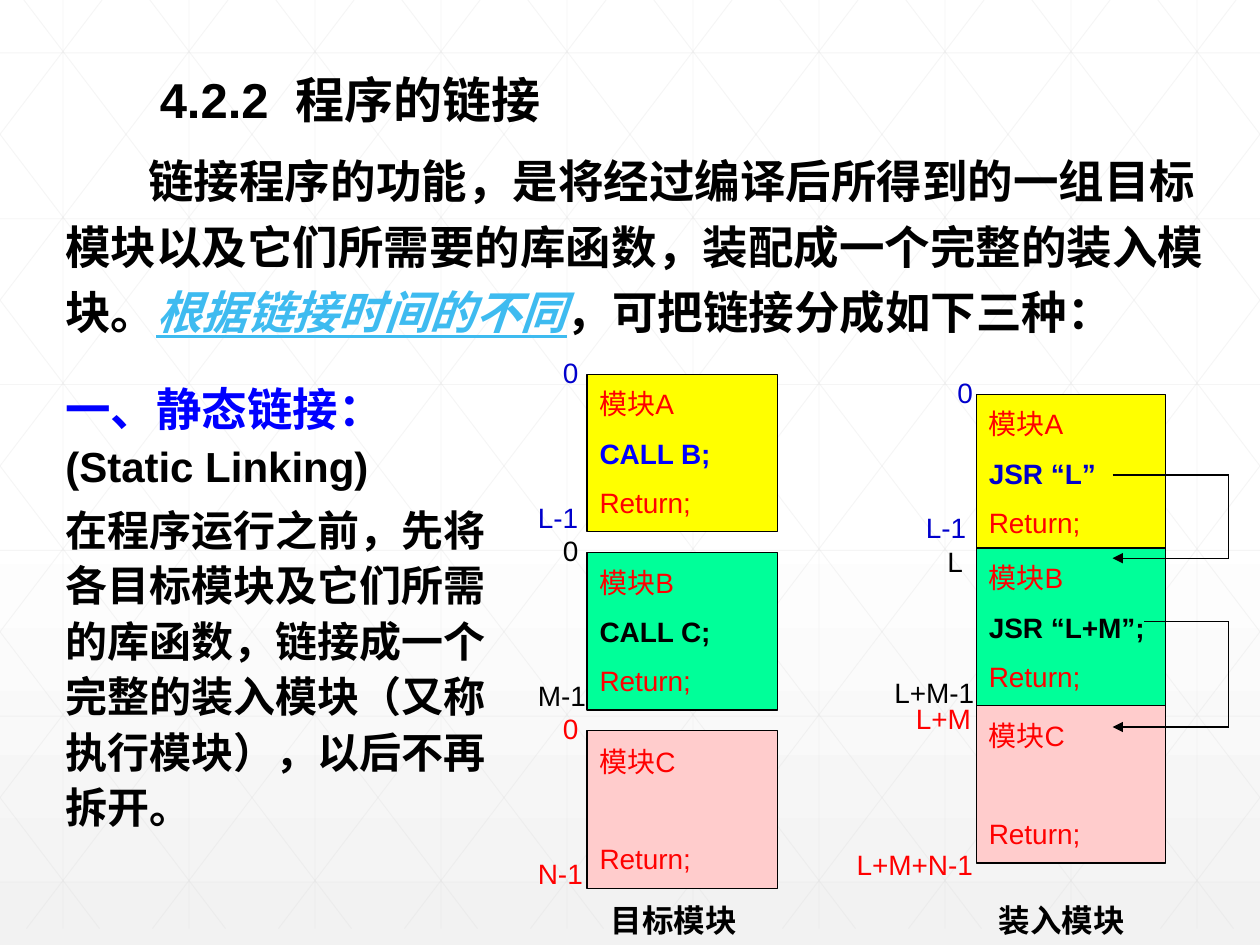
from dataclasses import dataclass

import pptx
import pptx.dml.color
import pptx.enum.lang
import pptx.enum.shapes
import pptx.enum.text
import pptx.oxml
import pptx.oxml.ns
import pptx.util
from lxml import etree

Inches = pptx.util.Inches
Pt = pptx.util.Pt
qn = pptx.oxml.ns.qn


@dataclass(frozen=True)
class Theme:
    font: str = "Arial"
    black: str = "000000"
    white: str = "FFFFFF"
    shade: str = "F2F2F2"
    grid: str = "D9D9D9"
    red: str = "FF0000"
    blue: str = "0000FF"
    label_blue: str = "0000CC"
    accent: str = "3EBBF0"
    yellow: str = "FFFF00"
    green: str = "00FF99"
    pink: str = "FFCCCC"
    title: int = 28
    body: int = 26
    detail: int = 24
    caption: int = 18
    code: int = 16
    thin: float = 0.5
    line: float = 0.75
    code_gap: float = 9
    code_line: float = 18.4


def rgb(value):
    return pptx.dml.color.RGBColor.from_string(value)


class SlideBuilder:
    def __init__(self, presentation, theme):
        self.theme = theme
        self.slide = presentation.slides.add_slide(presentation.slide_layouts[6])

    def background(self):
        fill = self.slide.background.fill
        fill.gradient()
        fill.gradient_angle = 270
        stops = ((0.53, self.theme.white), (1, self.theme.shade))
        for stop, (position, color) in zip(fill.gradient_stops, stops):
            stop.position = position
            stop.color.rgb = rgb(color)

    def line(self, start, end, color=None, width=None, opacity=None, arrow=False):
        """Draw from start to end, both (x, y) in inches; opacity in percent."""
        connector = self.slide.shapes.add_connector(
            pptx.enum.shapes.MSO_CONNECTOR.STRAIGHT,
            *(Inches(value) for value in (*start, *end)))
        connector.line.color.rgb = rgb(color or self.theme.black)
        connector.line.width = Pt(width or self.theme.line)
        properties = connector.element.spPr
        outline = properties.find(qn("a:ln"))
        if opacity:
            color_element = outline.find(".//" + qn("a:srgbClr"))
            etree.SubElement(color_element, qn("a:alpha"), val=str(opacity * 1000))
        if arrow:
            etree.SubElement(outline, qn("a:tailEnd"), type="triangle")
        etree.SubElement(properties, qn("a:effectLst"))

    def style(self, run, size, color, bold=False, emphasis=False):
        font = run.font
        font.name = self.theme.font
        font.size = Pt(size)
        font.color.rgb = rgb(color)
        font.bold = bold
        font.italic = font.underline = emphasis
        font.language_id = pptx.enum.lang.MSO_LANGUAGE_ID.SIMPLIFIED_CHINESE

    def fill_paragraph(self, paragraph, runs):
        """Add runs given as (text, *style arguments)."""
        paragraph.alignment = pptx.enum.text.PP_ALIGN.LEFT
        for text, *style in runs:
            run = paragraph.add_run()
            run.text = text
            self.style(run, *style)

    def text(self, box, paragraphs, wrap=True, spacing=None, gap=0, indent=0):
        shape = self.slide.shapes.add_textbox(*(Inches(value) for value in box))
        frame = shape.text_frame
        frame.word_wrap = wrap
        frame.auto_size = pptx.enum.text.MSO_AUTO_SIZE.SHAPE_TO_FIT_TEXT
        for index, runs in enumerate(paragraphs):
            paragraph = frame.add_paragraph() if index else frame.paragraphs[0]
            if spacing:
                paragraph.line_spacing = spacing
            if index:
                paragraph.space_before = Pt(gap)
            if indent:
                paragraph._p.get_or_add_pPr().set("indent", str(Inches(indent)))
            self.fill_paragraph(paragraph, runs)

    def label(self, left, top, width, text, color):
        self.text((left, top, width, 0.37), [[(text, self.theme.code, color)]], wrap=False)

    def module(self, box, name, call, call_color, fill):
        """Draw a module box; without a call its line stays open."""
        theme = self.theme
        shape = self.slide.shapes.add_shape(
            pptx.enum.shapes.MSO_SHAPE.RECTANGLE, *(Inches(value) for value in box))
        shape.shadow.inherit = False
        shape.fill.solid()
        shape.fill.fore_color.rgb = rgb(fill)
        shape.line.color.rgb = rgb(theme.black)
        shape.line.width = Pt(theme.line)
        frame = shape.text_frame
        frame.word_wrap = False
        frame.vertical_anchor = pptx.enum.text.MSO_ANCHOR.MIDDLE
        rows = [(name, theme.code, theme.red), ("Return;", theme.code, theme.red)]
        gap = 2 * theme.code_gap + theme.code_line
        if call:
            rows.insert(1, (call, theme.code, call_color, True))
            gap = theme.code_gap
        for index, row in enumerate(rows):
            paragraph = frame.add_paragraph() if index else frame.paragraphs[0]
            if index:
                paragraph.space_before = Pt(gap)
            self.fill_paragraph(paragraph, [row])

    def path_arrow(self, points):
        """Draw a bent path whose last leg carries the arrowhead."""
        legs = list(zip(points, points[1:]))
        for start, end in legs:
            self.line(start, end, arrow=(start, end) == legs[-1])


def draw_grid(builder):
    width, height, run = 10, 7.37, 5.6
    slope = height / run
    segments = [((k + 0.5, 0), (k + 0.5, height)) for k in range(width)]
    segments += [((0, 0.42 + 1.316 * k), (width, 0.42 + 1.316 * k)) for k in range(6)]
    for k in range(-5, width):
        origin = k + 0.19
        left, right = max(origin, 0), min(origin + run, width)
        top, bottom = (left - origin) * slope, (right - origin) * slope
        segments.append(((left, top), (right, bottom)))
        segments.append(((width - left, top), (width - right, bottom)))
    for start, end in segments:
        builder.line(start, end, builder.theme.grid, builder.theme.thin, opacity=25)


def draw_texts(builder):
    theme = builder.theme
    black, body, detail = theme.black, theme.body, theme.detail
    builder.text((1.17, 0.5, 3.47, 0.57),
                 [[("4.2.2  程序的链接", theme.title, black, True)]], wrap=False)
    builder.text((0.42, 1.08, 9.25, 1.62), [[
        ("链接程序的功能，是将经过编译后所得到的一组目标模块以及它们所需要的库函数，"
         "装配成一个完整的装入模块。", body, black, True),
        ("根据链接时间的不同", body, theme.accent, True, True),
        ("，可把链接分成如下三种：", body, black, True)]], spacing=1.2, indent=0.66)
    builder.text((0.42, 2.93, 3.58, 3.77), [
        [("一、静态链接： ", body, theme.blue, True),
         ("(Static Linking)", detail, black, True)],
        [("在程序运行之前，先将各目标模块及它们所需的库函数，链接成一个完整的装入模块"
          "（又称执行模块），以后不再拆开。", detail, black, True)]], spacing=1.1, gap=5)
    for left, caption in ((4.75, "目标模块"), (7.83, "装入模块")):
        builder.text((left, 7.1, 1.33, 0.4), [[(caption, theme.caption, black, True)]])


def draw_object_modules(builder):
    theme = builder.theme
    modules = (
        ("模块A", "CALL B;", theme.blue, theme.yellow, "L-1", 0.55, theme.label_blue),
        ("模块B", "CALL C;", theme.black, theme.green, "M-1", 0.65, theme.black),
        ("模块C", None, None, theme.pink, "N-1", 0.61, theme.red))
    for index, (name, call, call_color, fill, last, width, color) in enumerate(modules):
        top = 2.97 + 1.415 * index
        builder.module((4.66, top, 1.51, 1.25), name, call, call_color, fill)
        builder.label(4.37, top - 0.2, 0.33, "0", color)
        builder.label(4.17, top + 0.95, width, last, color)


def draw_load_module(builder):
    theme = builder.theme
    modules = (
        (3.13, "模块A", "JSR “L”", theme.label_blue, theme.yellow),
        (4.35, "模块B", "JSR “L+M”;", theme.black, theme.green),
        (5.6, "模块C", None, None, theme.pink))
    for top, *content in modules:
        builder.module((7.75, top, 1.5, 1.25), *content)
    labels = (
        (7.5, 2.93, 0.33, "0", theme.label_blue),
        (7.25, 4, 0.55, "L-1", theme.label_blue),
        (7.42, 4.27, 0.32, "L", theme.black),
        (7, 5.31, 0.93, "L+M-1", theme.black),
        (7.17, 5.52, 0.7, "L+M", theme.red),
        (6.7, 6.68, 1.28, "L+M+N-1", theme.red))
    for label in labels:
        builder.label(*label)
    for start, top, bottom in ((8.83, 3.77, 4.43), (9.08, 4.93, 5.77)):
        builder.path_arrow([(start, top), (9.75, top), (9.75, bottom), (8.83, bottom)])


def main():
    presentation = pptx.Presentation()
    presentation.slide_width = Inches(10)
    presentation.slide_height = Inches(7.5)
    builder = SlideBuilder(presentation, Theme())
    builder.background()
    draw_grid(builder)
    draw_texts(builder)
    draw_object_modules(builder)
    draw_load_module(builder)
    presentation.save("out.pptx")


if __name__ == "__main__":
    main()
